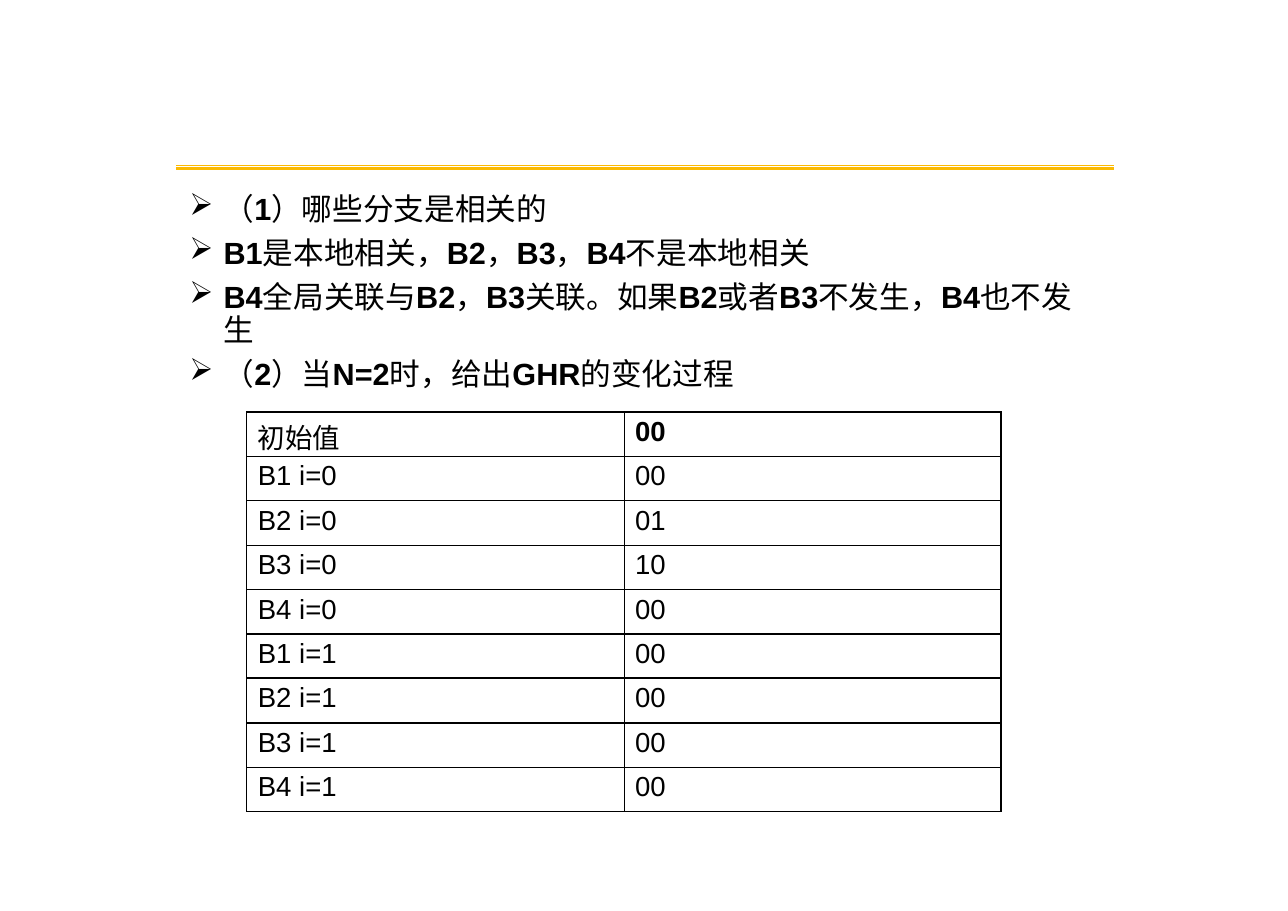
from lxml import etree
from pptx import Presentation
from pptx.dml.color import RGBColor
from pptx.enum.shapes import MSO_CONNECTOR
from pptx.oxml.ns import qn
from pptx.util import Inches, Pt

STRAIGHT = MSO_CONNECTOR.STRAIGHT
COLORS = {"text": "000000", "rule": "FBBA03", "border": "000000"}
LATIN, CJK = "Arial", "Noto Sans CJK SC"
POINTS = [
    ("（*1*）哪些分支是相关的", 0, 24),
    ("*B1*是本地相关，*B2*，*B3*，*B4*不是本地相关", 4.8, 24),
    ("*B4*全局关联与*B2*，*B3*关联。如果*B2*或者*B3*不发生，*B4*也不发 生", 7.5, 21.6),
    ("（*2*）当*N=2*时，给出*GHR*的变化过程", 4.5, 24),
]
HISTORY = ["00", "01", "10", "00", "00", "00", "00", "00"]
ROWS = [("初始值", "00")] + [
    (f"B{n % 4 + 1} i={n // 4}", value) for n, value in enumerate(HISTORY)
]
HEAVY_LINES = range(5, 8)


def add_run(p, text, size, font=LATIN, bold=False):
    """Append a run with its Latin and East Asian fonts."""
    r = p.add_run()
    r.text = text
    r.font.size = Pt(size)
    r.font.bold = bold
    r.font.color.rgb = RGBColor.from_string(COLORS["text"])
    r.font.name = font
    latin = r.font._element.find(qn("a:latin"))
    latin.addnext(latin.makeelement(qn("a:ea"), {"typeface": CJK}))


def add_rules(s, left, top, width):
    """Draw the thin and thick rules under the title area."""
    for offset, weight in ((0, 0.72), (0.03, 2.16)):
        y = Inches(top + offset)
        line = s.shapes.add_connector(STRAIGHT, Inches(left), y, Inches(left + width), y)
        line.line.color.rgb = RGBColor.from_string(COLORS["rule"])
        line.line.width = Pt(weight)
        etree.SubElement(line._element.spPr, qn("a:effectLst"))


def add_points(s, left, top, width, height):
    """Write the bulleted answers, with bold Latin text between asterisks."""
    tf = s.shapes.add_textbox(Inches(left), Inches(top), Inches(width), Inches(height)).text_frame
    tf.word_wrap = True
    tf.margin_left = tf.margin_right = tf.margin_bottom = 0
    tf.margin_top = Inches(0.1)
    for i, (text, before, spacing) in enumerate(POINTS):
        p = tf.paragraphs[0] if i == 0 else tf.add_paragraph()
        pPr = p._p.get_or_add_pPr()
        pPr.set("marL", str(Inches(0.33)))
        pPr.set("indent", str(Inches(-0.31)))
        etree.SubElement(pPr, qn("a:buChar"), char="➢")
        p.space_before = Pt(before)
        p.line_spacing = Pt(spacing)
        for j, part in enumerate(text.split("*")):
            if part:
                bold = j % 2 == 1
                add_run(p, part, 20, LATIN if bold else CJK, bold)


def set_borders(cell, **weights):
    """Set solid cell borders, with weights in points keyed by side."""
    tcPr = cell._tc.get_or_add_tcPr()
    for i, side in enumerate("LRTB"):
        ln = etree.Element(qn(f"a:ln{side}"), w=str(Pt(weights[side])))
        fill = etree.SubElement(ln, qn("a:solidFill"))
        etree.SubElement(fill, qn("a:srgbClr"), val=COLORS["border"])
        tcPr.insert(i, ln)


def add_history(s, left, top, width, height):
    """Build the table of history register values."""
    frame = s.shapes.add_table(
        len(ROWS), 2, Inches(left), Inches(top), Inches(width), Inches(height))
    table = frame.table
    table.first_row = table.horz_banding = False
    for i, row in enumerate(ROWS):
        for j, text in enumerate(row):
            cell = table.cell(i, j)
            cell.fill.background()
            cell.margin_left, cell.margin_top = Inches(0.1), Inches(0.04)
            cell.margin_right = cell.margin_bottom = 0
            header = i == 0
            font = CJK if header and j == 0 else LATIN
            add_run(cell.text_frame.paragraphs[0], text, 18, font, header and j == 1)
            set_borders(cell, L=1, R=1.5 if j == 1 else 1,
                        T=1.5 if i in HEAVY_LINES else 1,
                        B=1.5 if i + 1 in HEAVY_LINES else 1)


def main():
    """Build and save the slide."""
    prs = Presentation()
    prs.slide_width, prs.slide_height = Inches(11.69), Inches(8.27)
    s = prs.slides.add_slide(prs.slide_layouts[6])
    add_rules(s, 1.6, 1.5, 8.51)
    add_points(s, 1.7, 1.62, 8.07, 1.93)
    add_history(s, 2.24, 3.74, 6.85, 3.63)
    prs.save("out.pptx")


if __name__ == "__main__":
    main()
